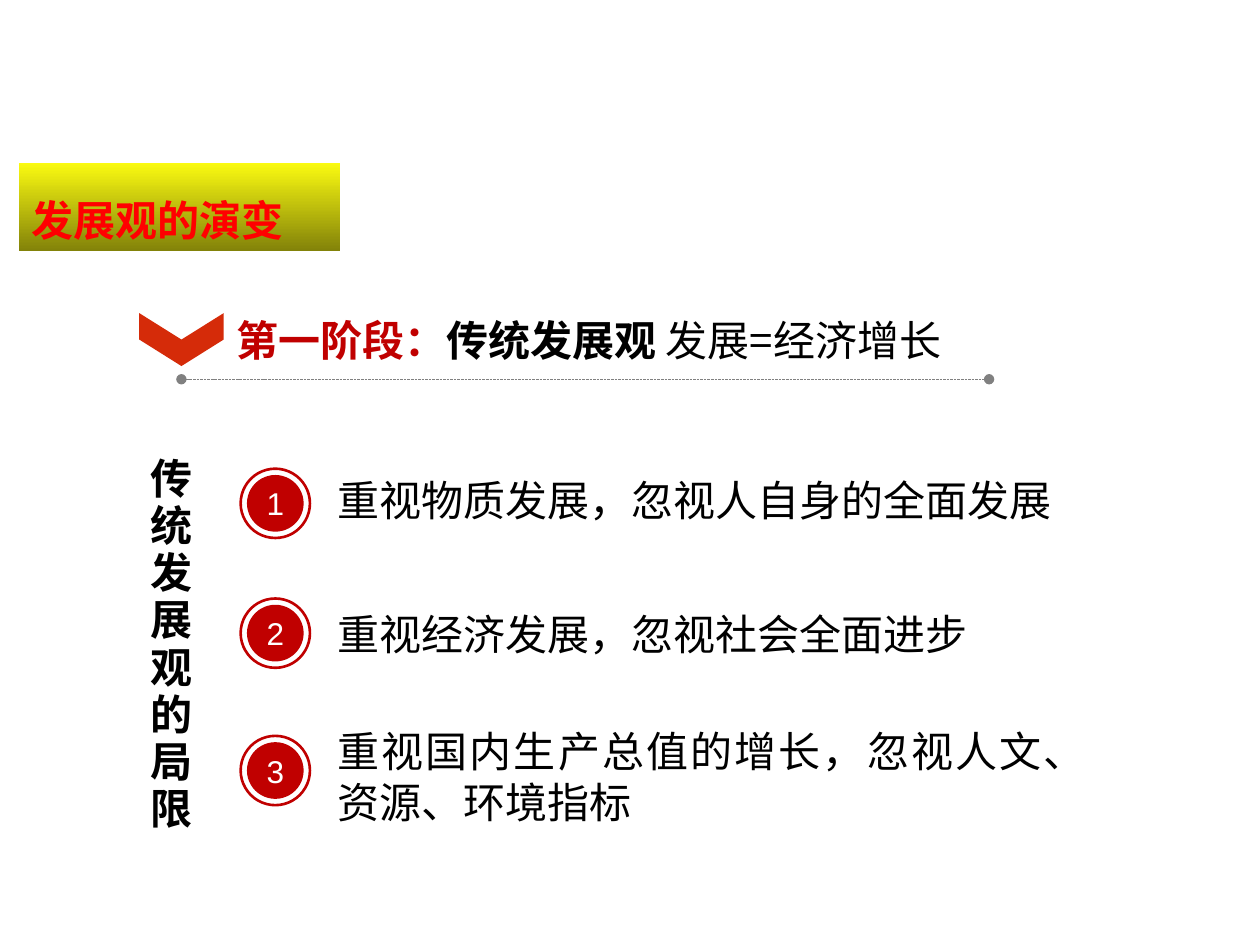
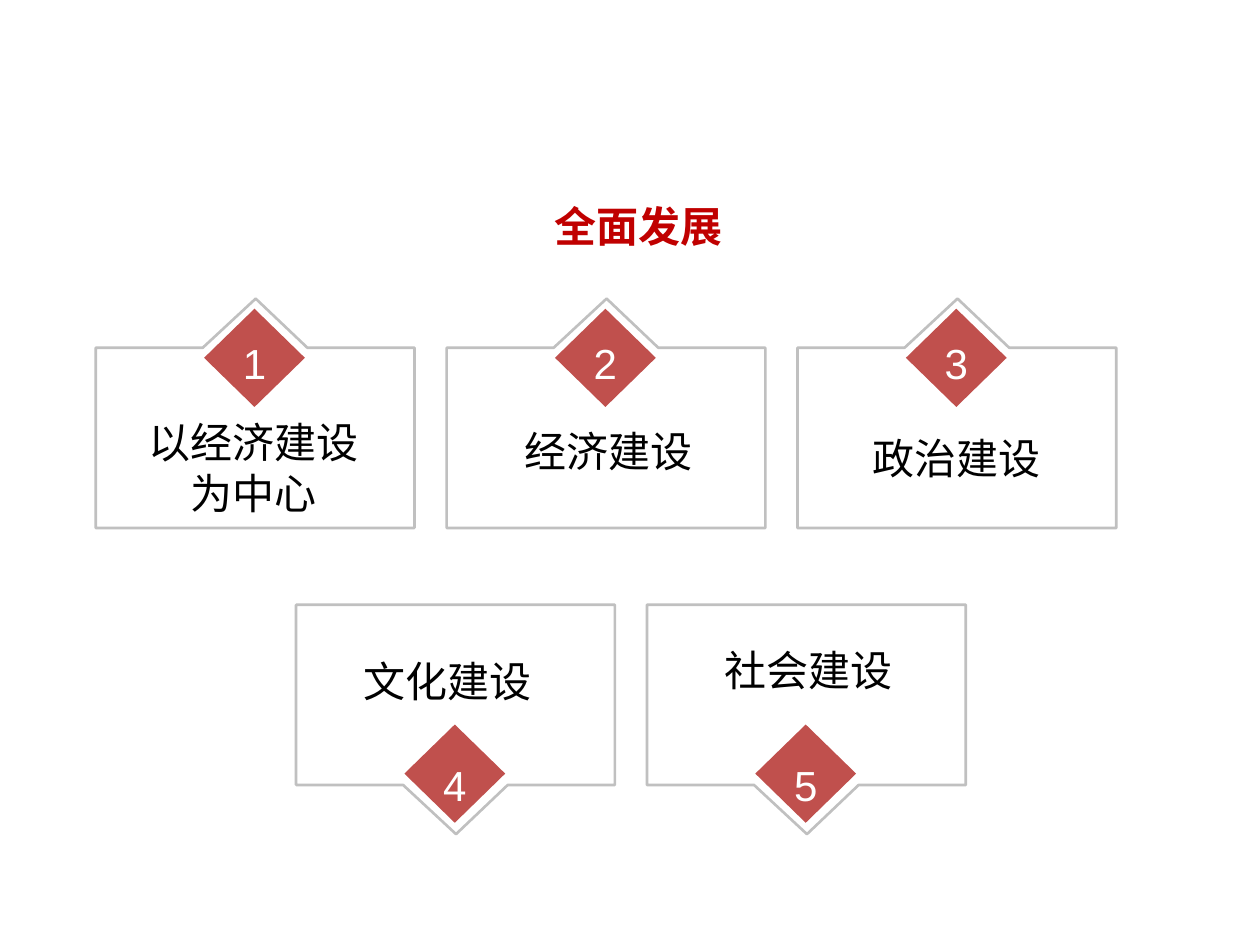
from lxml import etree
from pptx import Presentation
from pptx import util as u
from pptx.dml.color import RGBColor
from pptx.enum import dml, shapes, text
from pptx.oxml.ns import qn

BLACK = RGBColor(0, 0, 0)
WHITE = RGBColor(255, 255, 255)
RED = RGBColor(0xC0, 0, 0)
BRIGHT = RGBColor(255, 0, 0)
ORANGE = RGBColor(0xD5, 0x2B, 0x09)
BRICK = RGBColor(0xC0, 0x50, 0x4D)
GRAY = RGBColor(0x80, 0x80, 0x80)
SILVER = RGBColor(0xC0, 0xC0, 0xC0)
YELLOW = RGBColor(0xFB, 0xFB, 0x11)
OLIVE = RGBColor(0x83, 0x83, 0x09)
HAN = "Noto Sans CJK SC"
LEFT, MID, JUST = text.PP_ALIGN.LEFT, text.PP_ALIGN.CENTER, text.PP_ALIGN.JUSTIFY
KIND = shapes.MSO_SHAPE


def put(slide, kind, left, top, width, height, fill=None):
    spot = [u.Inches(n) for n in (left, top, width, height)]
    if kind is None:
        return slide.shapes.add_textbox(*spot)
    shape = slide.shapes.add_shape(kind, *spot)
    shape.shadow.inherit = False
    shape.line.fill.background()
    if fill is None:
        shape.fill.background()
    else:
        shape.fill.solid()
        shape.fill.fore_color.rgb = fill
    return shape


def write(shape, words, tint=BLACK, size=24, bold=False, align=LEFT, face="Arial", space=None):
    frame = shape.text_frame
    frame.word_wrap = True
    para = frame.paragraphs[0]
    para.text = words
    para.alignment = align
    if space:
        para.line_spacing = space
    font = para.font
    font.size, font.bold, font.name = u.Pt(size), bold, face
    font.color.rgb = tint
    base = para._p.pPr.find(qn("a:defRPr"))
    etree.SubElement(base, qn("a:ea"), typeface=HAN)
    return para


deck = Presentation()
deck.slide_width, deck.slide_height = u.Inches(10), u.Inches(7.5)
blank = deck.slide_layouts[6]

page = deck.slides.add_slide(blank)
title = put(page, KIND.RECTANGLE, 0.15, 1.29, 2.55, 0.7, YELLOW)
title.fill.gradient()
title.fill.gradient_angle = 270
for stop, tint in zip(title.fill.gradient_stops, (YELLOW, OLIVE)):
    stop.color.rgb = tint
title.text_frame.vertical_anchor = text.MSO_ANCHOR.BOTTOM
write(title, "发展观的演变", BRIGHT, bold=True, face=HAN)

stage = put(page, None, 1.78, 2.45, 6.56, 0.51)
para = write(stage, "第一阶段：", face=HAN)
for words in ("传统发展观", " 发展=经济增长"):
    para.add_run().text = words
for run, tint, bold in zip(para.runs, (RED, BLACK, BLACK), (True, True, False)):
    run.font.color.rgb = tint
    run.font.bold = bold

arrow = put(page, KIND.CHEVRON, 1.23, 2.36, 0.42, 0.67, ORANGE)
arrow.rotation = 90

rule = page.shapes.add_connector(
    shapes.MSO_CONNECTOR.STRAIGHT, u.Inches(1.44), u.Inches(3.01), u.Inches(7.85), u.Inches(3.01))
rule.line.color.rgb = GRAY
rule.line.width = u.Pt(0.5)
rule.line.dash_style = dml.MSO_LINE.SQUARE_DOT
for end in ("a:headEnd", "a:tailEnd"):
    etree.SubElement(rule.get_or_add_ln(), qn(end), type="oval")
etree.SubElement(rule._element.spPr, qn("a:effectLst"))

side = put(page, None, 0.99, 3.53, 0.61, 3.26)
para = write(side, "传统发展观的局限", bold=True)
para._p.pPr.find(qn("a:defRPr")).set("spc", "300")
side.text_frame._txBody.bodyPr.set("vert", "eaVert")

limits = [
    (4.0, 3.72, 0.51, LEFT, "重视物质发展，忽视人自身的全面发展"),
    (5.03, 4.78, 0.51, LEFT, "重视经济发展，忽视社会全面进步"),
    (6.12, 5.71, 0.91, JUST, "重视国内生产总值的增长，忽视人文、资源、环境指标"),
]
for num, (mid, top, high, align, words) in enumerate(limits, 1):
    ring = put(page, KIND.OVAL, 1.91, mid - 0.28, 0.55, 0.55)
    ring.line.color.rgb = RED
    ring.line.width = u.Pt(1.5)
    disc = put(page, KIND.OVAL, 1.96, mid - 0.23, 0.45, 0.45, RED)
    frame = disc.text_frame
    frame.margin_left = frame.margin_right = frame.margin_top = frame.margin_bottom = 0
    frame.vertical_anchor = text.MSO_ANCHOR.MIDDLE
    write(disc, str(num), WHITE, 18, align=MID)
    write(put(page, None, 2.58, top, 6.14, high), words, align=align, face=HAN)

page = deck.slides.add_slide(blank)
HIGH, STEP = 1.82, 2.785
edge = [(1.27, 0), (1.68, 0.39), (2.53, 0.39), (2.53, HIGH), (0, HIGH), (0, 0.39), (0.85, 0.39)]
cards = [
    (0.76, 2.37, False, 1.07, 3.26, None, "以经济建设为中心"),
    (0.76 + STEP, 2.37, False, 3.89, 3.33, None, "经济建设"),
    (0.76 + 2 * STEP, 2.37, False, 6.65, 3.3, 1.2, "政治建设"),
    (2.35, 4.8, True, 2.61, 5.07, 1.2, "文化建设"),
    (2.35 + STEP, 4.8, True, 5.48, 5.07, None, "社会建设"),
]
for num, (left, top, down, x, y, space, words) in enumerate(cards, 1):
    dots = [(u.Inches(left + a), u.Inches(top + (HIGH - b if down else b))) for a, b in edge]
    pen = page.shapes.build_freeform(*dots[0])
    pen.add_line_segments(dots[1:], close=True)
    card = pen.convert_to_shape()
    card.shadow.inherit = False
    card.fill.background()
    card.line.color.rgb = SILVER
    card.line.width = u.Pt(1.5)
    put(page, KIND.DIAMOND, left + 0.86, top + (0.95 if down else 0.08), 0.8, 0.78, BRICK)
    mark = put(page, None, left + 0.32, top + (1.1 if down else 0.18), 1.88, 0.54)
    write(mark, str(num), WHITE, align=MID, space=1.2)
    write(put(page, None, x, y, 1.88, 0.54), words, align=MID, space=space)

head = put(page, None, 4.06, 1.46, 2.01, 0.59)
write(head, "全面发展", RED, bold=True, align=MID, space=1.2)

deck.save("out.pptx")
